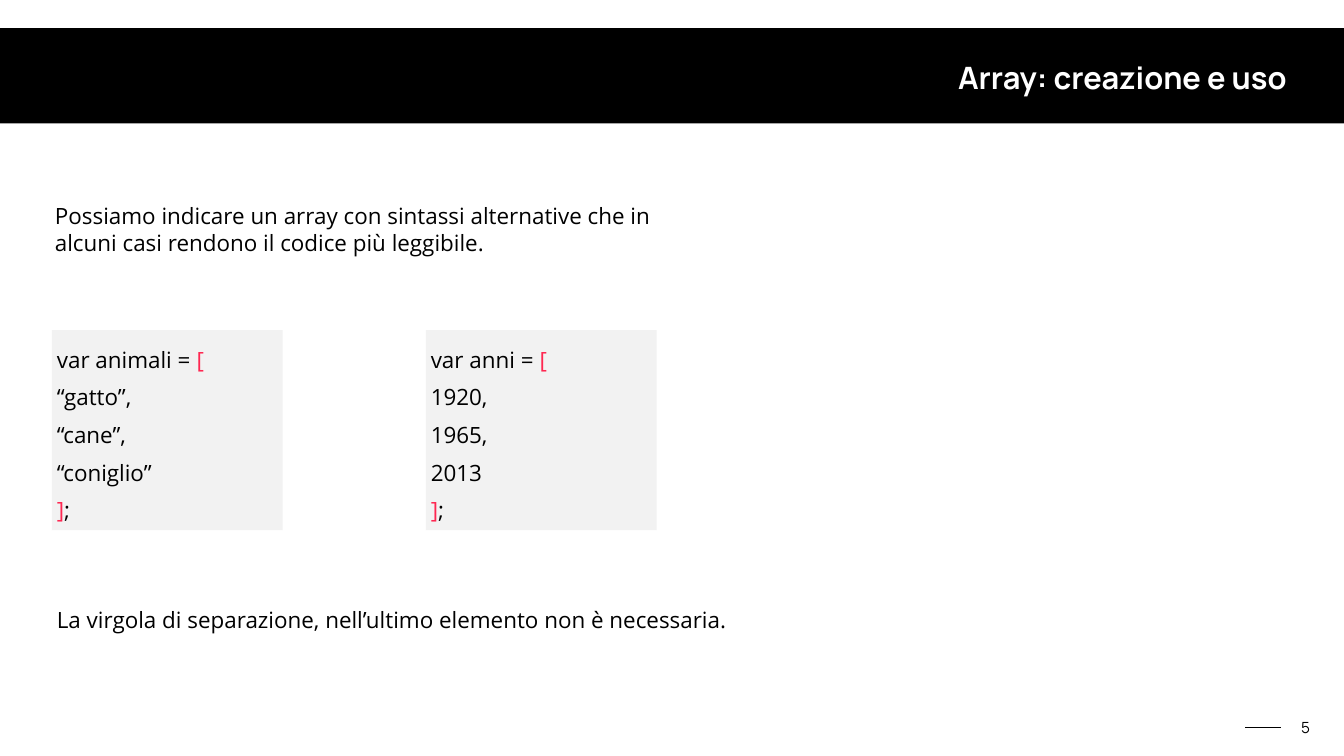
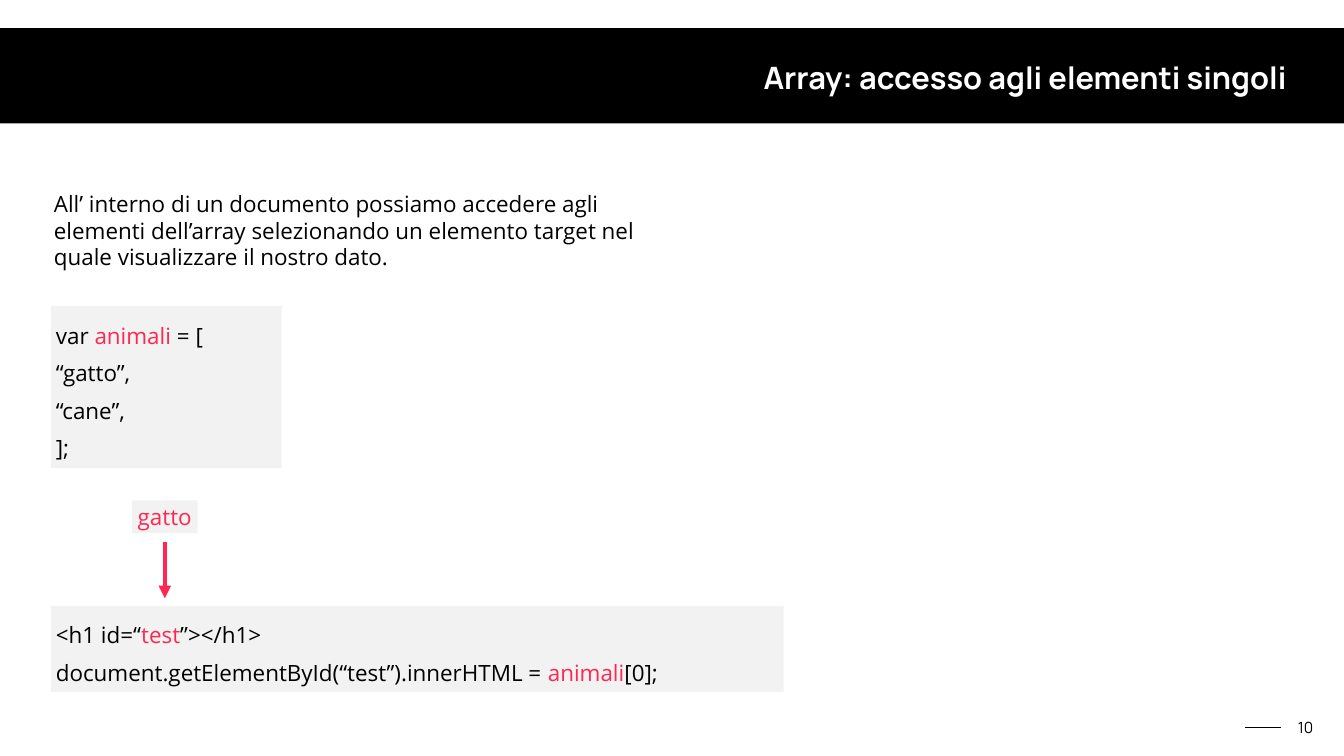
from lxml.etree import SubElement
from pptx import Presentation
from pptx.dml.color import RGBColor
from pptx.enum.shapes import MSO_CONNECTOR, MSO_SHAPE
from pptx.enum.text import MSO_ANCHOR, MSO_AUTO_SIZE, PP_ALIGN
from pptx.oxml.ns import qn
from pptx.util import Inches, Pt

COLORS = {
    "black": "000000",
    "white": "FFFFFF",
    "code": "F2F2F2",
    "accent": "FF2751",
}
BODY_FONT = "Open Sans"
TITLE_FONT = "Manrope"
CODE_WIDTH = 4.58


def color(name):
    return RGBColor.from_string(COLORS[name])


def write_text(shape, text, font=BODY_FONT, size=32, fill="black", bold=False,
               align=PP_ALIGN.LEFT, anchor=MSO_ANCHOR.MIDDLE, inset=0.06,
               line_spacing=None):
    """Write one paragraph per line; parts between | marks take the accent colour."""
    frame = shape.text_frame
    frame.word_wrap = True
    frame.auto_size = MSO_AUTO_SIZE.SHAPE_TO_FIT_TEXT
    frame.vertical_anchor = anchor
    frame.margin_left = frame.margin_right = Inches(inset)
    frame.margin_top = frame.margin_bottom = Inches(inset)
    for index, line in enumerate(text.split("\n")):
        paragraph = frame.add_paragraph() if index else frame.paragraphs[0]
        paragraph.alignment = align
        if line_spacing:
            paragraph.line_spacing = line_spacing
        for position, part in enumerate(line.split("|")):
            if not part:
                continue
            run = paragraph.add_run()
            run.text = part
            run.font.name = font
            run.font.size = Pt(size)
            run.font.bold = bold
            run.font.color.rgb = color("accent" if position % 2 else fill)


def add_text(slide, text, left, top, width, height, **text_format):
    box = slide.shapes.add_textbox(
        Inches(left), Inches(top), Inches(width), Inches(height))
    write_text(box, text, **text_format)


def add_rectangle(slide, left, top, width, height, fill):
    shape = slide.shapes.add_shape(
        MSO_SHAPE.RECTANGLE,
        Inches(left), Inches(top), Inches(width), Inches(height))
    shape.shadow.inherit = False
    shape.fill.solid()
    shape.fill.fore_color.rgb = color(fill)
    shape.line.fill.background()
    return shape


def add_code(slide, text, left, top, width, height):
    box = add_rectangle(slide, left, top, width, height, "code")
    write_text(box, text, anchor=MSO_ANCHOR.TOP, inset=0.1, line_spacing=1.4)


def add_line(slide, start, end, line_color, width, arrow=False):
    connector = slide.shapes.add_connector(
        MSO_CONNECTOR.STRAIGHT, *(Inches(value) for value in start + end))
    connector.line.color.rgb = color(line_color)
    connector.line.width = Pt(width)
    if arrow:
        SubElement(connector.line._get_or_add_ln(), qn("a:tailEnd"), type="triangle")
    SubElement(connector._element.spPr, qn("a:effectLst"))


def add_base_slide(presentation, title, number):
    """Add a slide with the title band and the page number."""
    slide = presentation.slides.add_slide(presentation.slide_layouts[6])
    slide.background.fill.solid()
    slide.background.fill.fore_color.rgb = color("white")
    add_rectangle(slide, -0.21, 0.56, 27.08, 1.89, "black")
    add_line(slide, (25.42, 14.44), (24.71, 14.44), "black", 2)
    add_text(slide, str(number), 25.66, 14.2, 0.5, 0.48, font=TITLE_FONT,
             size=22, align=PP_ALIGN.CENTER, anchor=MSO_ANCHOR.BOTTOM)
    add_text(slide, title, 5.89, 1.1, 19.71, 0.85, font=TITLE_FONT,
             size=44, fill="white", bold=True, align=PP_ALIGN.RIGHT)
    return slide


def build_creation_slide(presentation):
    slide = add_base_slide(presentation, "Array: creazione e uso", 5)
    left = 1.03
    add_text(slide, "Possiamo indicare un array con sintassi alternative che in "
             "alcuni casi rendono il codice più leggibile.", left, 3.95, 12.04, 1.19)
    arrays = [
        "var animali = |[|\n“gatto”,\n“cane”,\n“coniglio”\n|]|;",
        "var anni = |[|\n1920,\n1965,\n2013\n|]|;",
    ]
    for column, code in enumerate(arrays):
        add_code(slide, code, left + column * 7.42, 6.55, CODE_WIDTH, 3.97)
    note = add_rectangle(slide, left, 11.93, 14.36, 0.74, "white")
    write_text(note, "La virgola di separazione, nell’ultimo elemento non è necessaria.",
               anchor=MSO_ANCHOR.TOP, inset=0.1)


def build_access_slide(presentation):
    slide = add_base_slide(presentation, "Array: accesso agli elementi singoli", 10)
    left = 1.01
    add_text(slide, "All’ interno di un documento possiamo accedere agli elementi "
             "dell’array selezionando un elemento target nel quale visualizzare "
             "il nostro dato.", left, 3.7, 12.12, 1.73)
    add_code(slide, "var |animali| = [\n“gatto”,\n“cane”,\n];",
             left, 6.07, CODE_WIDTH, 3.22)
    add_code(slide, "<h1 id=“|test|”></h1>\n"
             "document.getElementById(“test”).innerHTML = |animali|[0];",
             left, 12.02, 14.54, 1.71)
    value = add_rectangle(slide, 2.62, 9.93, 1.3, 0.65, "code")
    write_text(value, "gatto", fill="accent", align=PP_ALIGN.CENTER)
    add_line(slide, (3.27, 10.75), (3.27, 11.87), "accent", 6, arrow=True)


def main():
    presentation = Presentation()
    presentation.slide_width = Inches(26.67)
    presentation.slide_height = Inches(15)
    build_creation_slide(presentation)
    build_access_slide(presentation)
    presentation.save("out.pptx")


if __name__ == "__main__":
    main()
